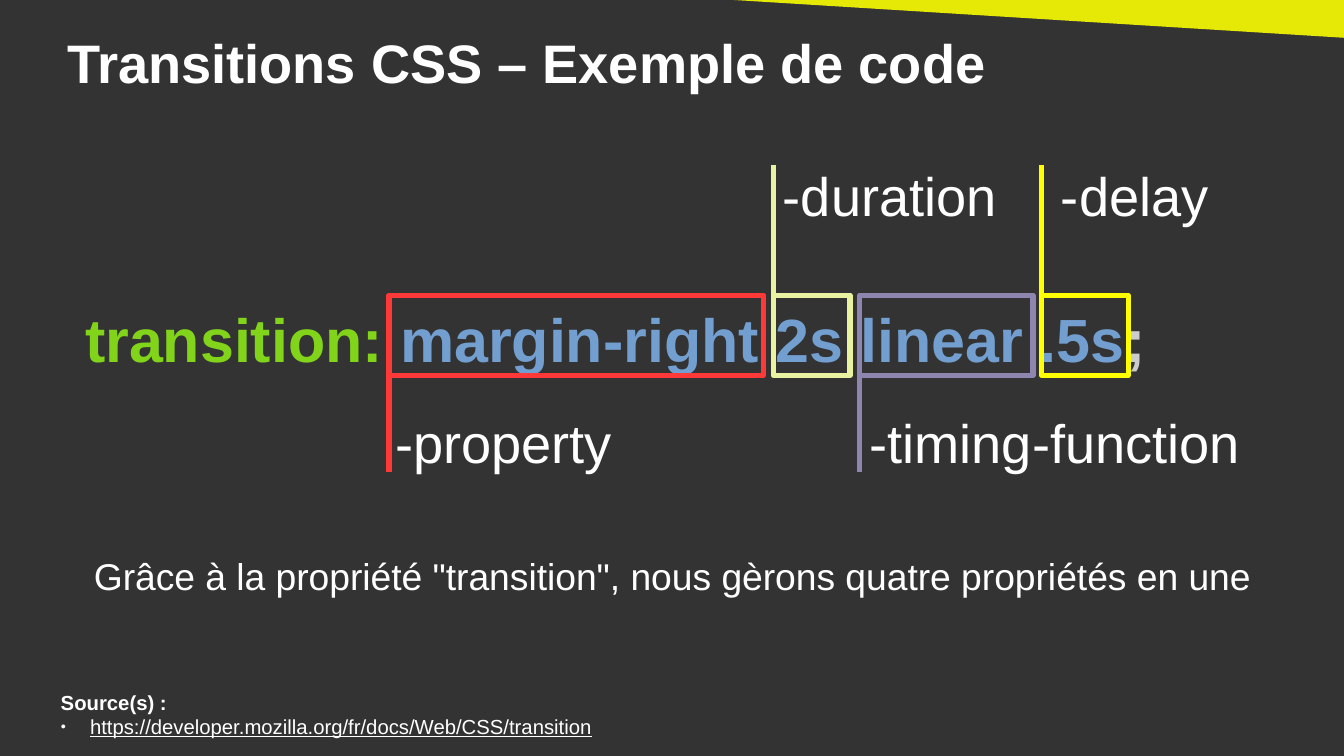
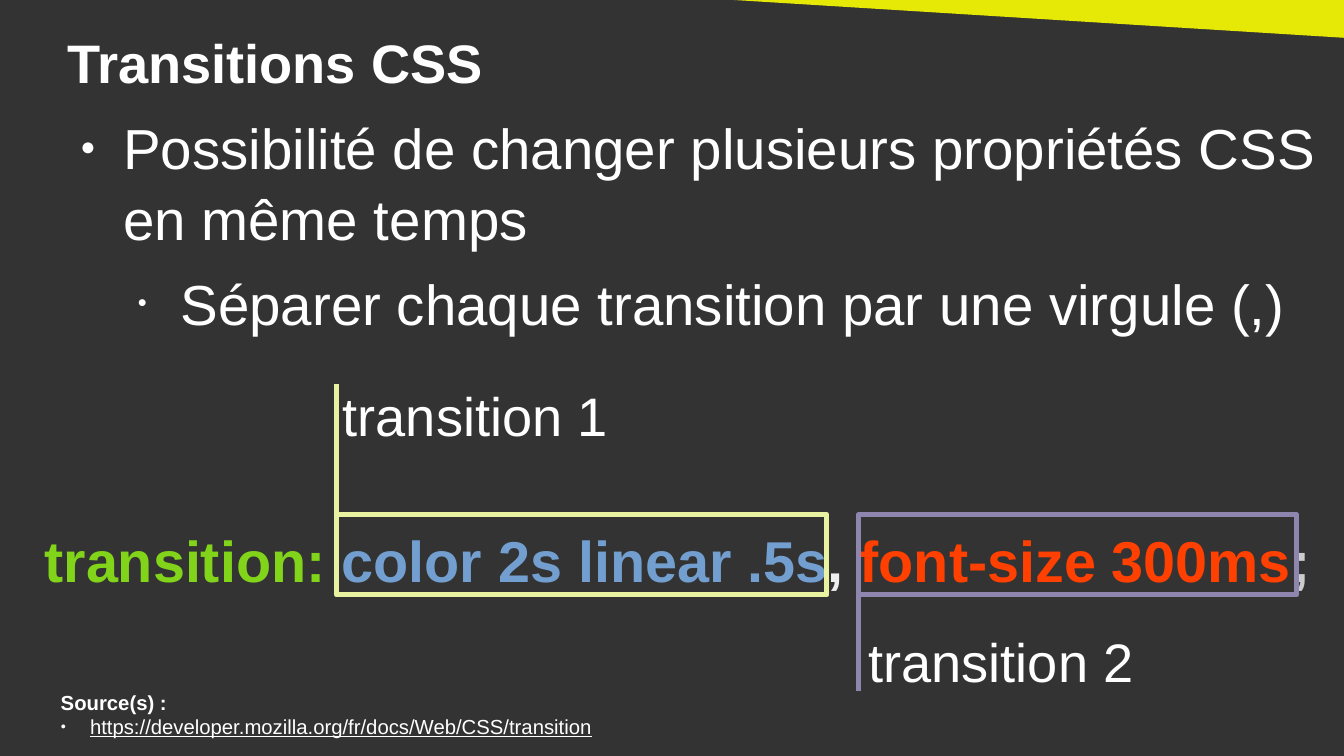
from collections import namedtuple

from lxml import etree
from pptx import Presentation
from pptx import util as u
from pptx.dml.color import RGBColor
from pptx.enum import shapes, text
from pptx.oxml.ns import qn

Box = namedtuple("Box", "left top width height")
Callout = namedtuple("Callout", "left width label label_width gap color up")

SLIDE = Box(0, 0, 11.02, 6.2)
FONT = "Arial"
BACKGROUND, BAND, WHITE = "333333", "E6E905", "FFFFFF"
GREEN, BLUE, ORANGE, GREY, PALE = "81D41A", "729FCF", "FF4000", "CCCCCC", "EEEEEE"
RED, LIME, VIOLET, YELLOW = "FF3838", "E8F2A1", "8E86AE", "FFFF00"

TITLE_BOX = Box(0.55, 0.25, 9.92, 0.51)
SOURCE_BOX = Box(0.4, 5.61, 9.9, 0.59)
CODE_HEIGHT = 0.66
LABEL_HEIGHT = 0.5
STEM = 1.1
LINE_WIDTH = 3
SOURCE_URL = "https://developer.mozilla.org/fr/docs/Web/CSS/transition"


def rgb(color):
    return RGBColor.from_string(color)


def inches(*lengths):
    return [u.Inches(length) for length in lengths]


def set_all(target, values):
    for name, value in values.items():
        setattr(target, name, value)


def add_text_box(slide, box, inset=(0, 0), anchor=text.MSO_ANCHOR.TOP):
    frame = slide.shapes.add_textbox(*inches(*box)).text_frame
    side, edge = inches(*inset)
    set_all(frame, {
        "word_wrap": True, "vertical_anchor": anchor,
        "margin_left": side, "margin_right": side,
        "margin_top": edge, "margin_bottom": edge,
    })
    return frame


def add_run(paragraph, words, size, color=WHITE, **formats):
    run = paragraph.add_run()
    run.text = words
    set_all(run.font, {"name": FONT, "size": u.Pt(size), **formats})
    run.font.color.rgb = rgb(color)


def add_bullet(paragraph, character, margin, hanging):
    properties = paragraph._p.get_or_add_pPr()
    properties.set("marL", str(u.Inches(margin)))
    properties.set("indent", str(-u.Inches(hanging)))
    color = etree.SubElement(properties, qn("a:buClr"))
    etree.SubElement(color, qn("a:srgbClr"), val=WHITE)
    etree.SubElement(properties, qn("a:buSzPct"), val="45000")
    etree.SubElement(properties, qn("a:buFont"), typeface=FONT)
    etree.SubElement(properties, qn("a:buChar"), char=character)


def style_line(shape, color):
    shape.line.color.rgb = rgb(color)
    shape.line.width = u.Pt(LINE_WIDTH)
    etree.SubElement(shape.line._get_or_add_ln(), qn("a:round"))


def add_band(slide, box):
    """Yellow wedge along the top edge."""
    right = box.left + box.width
    builder = slide.shapes.build_freeform(*inches(box.left, box.top))
    builder.add_line_segments(
        [inches(right, box.top), inches(right, box.top + box.height)])
    band = builder.convert_to_shape()
    band.shadow.inherit = False
    band.fill.solid()
    band.fill.fore_color.rgb = rgb(BAND)
    band.line.fill.background()


def add_source(slide, box):
    frame = add_text_box(slide, box, (0.1, 0.05))
    add_run(frame.paragraphs[0], "Source(s)\u00a0:", 12, bold=True)
    link = frame.add_paragraph()
    add_bullet(link, "●", 0.24, 0.24)
    add_run(link, SOURCE_URL, 12, underline=True)


def add_base_slide(presentation, title):
    """Slide with the shared band, title and source."""
    slide = presentation.slides.add_slide(presentation.slide_layouts[6])
    wedge_left = 6.02
    add_band(slide, Box(wedge_left, 0, SLIDE.width - wedge_left, 0.31))
    frame = add_text_box(slide, TITLE_BOX, anchor=text.MSO_ANCHOR.MIDDLE)
    add_run(frame.paragraphs[0], title, 32, bold=True)
    add_source(slide, SOURCE_BOX)
    return slide


def add_centered_line(slide, box, runs, size, **formats):
    paragraph = add_text_box(slide, box, (0.1, 0.05)).paragraphs[0]
    paragraph.alignment = text.PP_ALIGN.CENTER
    for words, color in runs:
        add_run(paragraph, words, size, color, **formats)


def add_callout(slide, top, callout):
    """Frame around a piece of code, with a stem and a label."""
    frame = slide.shapes.add_shape(
        shapes.MSO_SHAPE.RECTANGLE,
        *inches(callout.left, top, callout.width, CODE_HEIGHT))
    frame.shadow.inherit = False
    frame.fill.background()
    style_line(frame, callout.color)

    # The stem overlaps the frame a little
    stem_top = top + 0.03 - STEM if callout.up else top + 0.35
    stem = slide.shapes.add_connector(
        shapes.MSO_CONNECTOR.STRAIGHT,
        *inches(callout.left, stem_top, callout.left, stem_top + STEM))
    style_line(stem, callout.color)
    etree.SubElement(stem._element.spPr, qn("a:effectLst"))

    label_top = stem_top if callout.up else stem_top + STEM - LABEL_HEIGHT
    label_box = Box(callout.left + callout.gap, label_top,
                    callout.label_width, LABEL_HEIGHT)
    label = add_text_box(slide, label_box, anchor=text.MSO_ANCHOR.MIDDLE)
    add_run(label.paragraphs[0], callout.label, 32)


def add_code(slide, box, runs, size, frame_top, callouts):
    """Line of code with its callouts."""
    add_centered_line(slide, box, runs, size, bold=True)
    for callout in callouts:
        add_callout(slide, frame_top, callout)


def add_bullets(slide, box, items):
    frame = add_text_box(slide, box)
    for level, (words, character) in enumerate(items):
        paragraph = frame.add_paragraph() if level else frame.paragraphs[0]
        set_all(paragraph, {"level": level, "line_spacing": 1.05,
                            "space_before": u.Pt(8.4 if level else 0)})
        add_bullet(paragraph, character, 0.47 * (level + 1), 0.35)
        add_run(paragraph, words, 33.3)


def build_example_slide(presentation):
    slide = add_base_slide(presentation, "Transitions CSS – Exemple de code")
    add_centered_line(
        slide, Box(0.16, 4.49, 10.71, 0.44),
        [('Grâce à la propriété "transition", nous gèrons quatre propriétés en une',
          WHITE)], 22)
    add_code(
        slide, Box(-0.11, 2.42, 10.31, CODE_HEIGHT),
        [("transition: ", GREEN), ("margin-right 2s linear .5s", BLUE), (";", GREY)],
        36, 2.42,
        [Callout(3.19, 3.07, "-property", 1.84, 0.05, RED, False),
         Callout(6.34, 0.63, "-duration", 1.84, 0.08, LIME, True),
         Callout(7.05, 1.42, "-timing-function", 3.39, 0.08, VIOLET, False),
         Callout(8.54, 0.71, "-delay", 1.84, 0.16, YELLOW, True)])


def build_multiple_slide(presentation):
    slide = add_base_slide(presentation, "Transitions CSS")
    add_bullets(
        slide, Box(0.54, 0.9, 10.26, 1.85),
        [("Possibilité de changer plusieurs propriétés CSS en même temps", "●"),
         ("Séparer chaque transition par une virgule (,)", "•")])
    add_code(
        slide, Box(0.16, 4.26, 10.79, 0.7),
        [("transition: ", GREEN), ("color 2s linear .5s", BLUE), (", ", PALE),
         ("font-size 300ms", ORANGE), (";", GREY)],
        34, 4.22,
        [Callout(2.76, 4.02, "transition 1", 2.78, 0.05, LIME, True),
         Callout(7.04, 3.59, "transition 2", 3.39, 0.08, VIOLET, False)])


def main():
    presentation = Presentation()
    width, height = inches(SLIDE.width, SLIDE.height)
    set_all(presentation, {"slide_width": width, "slide_height": height})
    background = presentation.slide_master.background.fill
    background.solid()
    background.fore_color.rgb = rgb(BACKGROUND)
    build_example_slide(presentation)
    build_multiple_slide(presentation)
    presentation.save("out.pptx")


if __name__ == "__main__":
    main()
